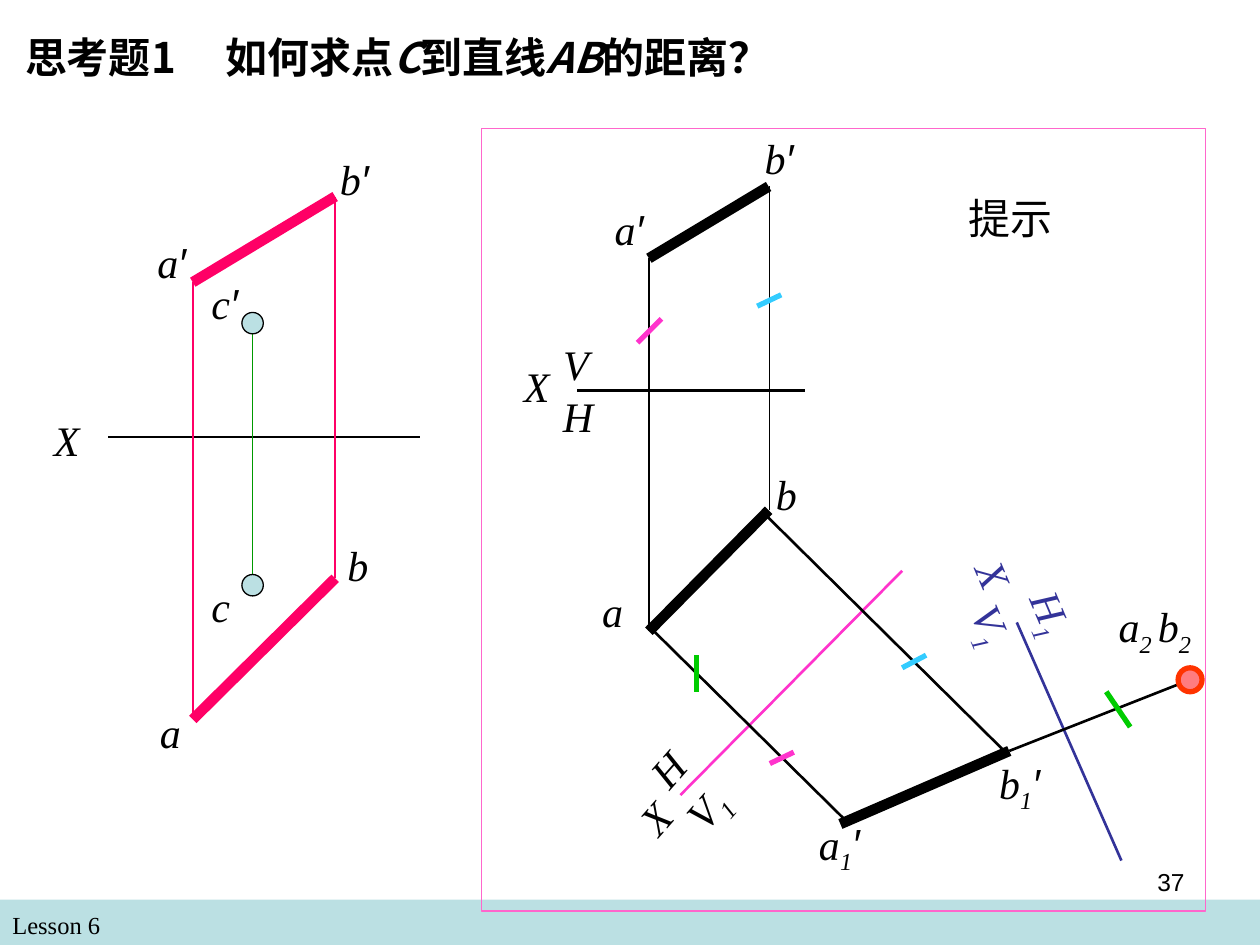
from lxml import etree
from pptx import Presentation
from pptx import util as u
from pptx.dml.color import RGBColor
from pptx.enum import shapes, text
from pptx.oxml.ns import qn

CELL = 0.1  # grid of 100 columns by 75 rows
COLS, ROWS = 100, 75
SERIF, SANS, CJK = "Times New Roman", "Arial", "Noto Sans CJK SC"
COLORS = {
    "ink": "000000", "band": "BBE0E3", "rose": "FF0066", "leaf": "009900",
    "navy": "333399", "magenta": "FF33CC", "sky": "33CCFF", "green": "00CC00",
    "frame": "FF66CC", "coral": "FF7C80", "red": "FF3300",
}


def cells(n):
    return u.Inches(n * CELL)


def rgb(name):
    return RGBColor.from_string(COLORS[name])


def add_line(s, box, start, end, color="ink", width=1.5):
    ends = [cells(v + o) for point in (start, end) for v, o in zip(point, box)]
    line = s.shapes.add_connector(shapes.MSO_CONNECTOR.STRAIGHT, *ends)
    line.line.color.rgb = rgb(color)
    line.line.width = u.Pt(width)
    etree.SubElement(line._element.spPr, qn("a:effectLst"))


def add_solid(s, kind, box, fill=None, line=None, width=0.75):
    sp = s.shapes.add_shape(kind, *map(cells, box))
    sp.shadow.inherit = False
    if fill:
        sp.fill.solid()
        sp.fill.fore_color.rgb = rgb(fill)
    else:
        sp.fill.background()
    if line:
        sp.line.color.rgb = rgb(line)
        sp.line.width = u.Pt(width)
    else:
        sp.line.fill.background()


def add_dot(s, box, center, size, fill, line, width):
    x, y = (v + o - size / 2 for v, o in zip(center, box))
    add_solid(s, shapes.MSO_SHAPE.OVAL, (x, y, size, size), fill, line, width)


def add_box(s, box, wrap=True):
    """Return the first paragraph of a new text box."""
    tf = s.shapes.add_textbox(*map(cells, box)).text_frame
    tf.word_wrap = wrap
    tf.auto_size = text.MSO_AUTO_SIZE.SHAPE_TO_FIT_TEXT
    return tf.paragraphs[0]


def add_run(p, words, font=SERIF, size=24, color="ink", bold=False, italic=False):
    r = p.add_run()
    r.text = words
    r.font.name, r.font.size = font, u.Pt(size)
    r.font.bold, r.font.italic = bold, italic
    r.font.color.rgb = rgb(color)
    return r


def use_cjk(r):
    etree.SubElement(r._r.get_or_add_rPr(), qn("a:ea"), typeface=CJK)


def add_label(s, box, x, y, width, parts, angle=0, color="ink"):
    """Label a point; a part that starts with _ is a subscript."""
    has_sub = any(part.startswith("_") for part in parts)
    sp_box = (box[0] + x, box[1] + y, width, 5.6 if has_sub else 5)
    p = add_box(s, sp_box)
    for part in parts:
        r = add_run(p, part.lstrip("_"), SANS if part == "′" else SERIF,
                    color=color, italic=True)
        if part.startswith("_"):
            r._r.get_or_add_rPr().set("baseline", "-25000")
    s.shapes[-1].rotation = angle


def add_footer(s, box):
    left, top, width, height = box
    add_solid(s, shapes.MSO_SHAPE.RECTANGLE, box, "band")
    add_run(add_box(s, (left, top + 0.3, width / 2, height)), "Lesson 6", size=14)


def add_page_number(s, box):
    p = add_box(s, box)
    p.alignment = text.PP_ALIGN.RIGHT
    add_run(p, "37", SANS, 14)


def add_title(s, box):
    p = add_box(s, box, wrap=False)
    tabs = etree.SubElement(p._p.get_or_add_pPr(), qn("a:tabLst"))
    etree.SubElement(tabs, qn("a:tab"), pos=str(cells(15.9)), algn="l")
    pieces = ("思考题1\t如何求点", "C", "到直线", "AB", "的距离？")
    for i, words in enumerate(pieces):
        use_cjk(add_run(p, words, CJK, bold=True, italic=i % 2 == 1))


def add_problem(s, box):
    """Two views of line AB and point C."""
    a_x, b_x, c_x = 12, 23.3, 16.75
    a_front, a_top, b_front, b_top = 10.7, 45.4, 3.9, 34.2
    c_front, c_top = 13.95, 34.75
    add_line(s, box, (5.3, 23), (30, 23))
    add_line(s, box, (a_x, a_front), (a_x, a_top), "rose", 1)
    add_line(s, box, (b_x, b_top), (b_x, b_front), "rose", 0.75)
    add_line(s, box, (a_x, a_front), (b_x, b_front), "rose", 6)
    add_line(s, box, (a_x, a_top), (b_x, b_top), "rose", 6)
    add_line(s, box, (c_x, c_top), (c_x, c_front), "leaf", 0.75)
    for y in (c_top, c_front):
        add_dot(s, box, (c_x, y), 1.7, "band", "ink", 0.75)
    for label in (
        (8.2, 6.6, 9.4, "a′"), (8.4, 43.9, 10.7, "a"), (0, 20.7, 7.9, "X"),
        (22.7, 0, 9.4, "b′"), (23.3, 30.6, 6.7, "b"),
        (12.5, 33.9, 10.7, "c"), (12.5, 9.8, 9.4, "c′"),
    ):
        add_label(s, box, *label)


def add_hint(s, box):
    """Two changes of plane that turn AB into a point."""
    a_front, b_front = (13.3, 10.3), (22.8, 4.6)
    a_top, b_top = (13.3, 39.9), (22.8, 30.3)
    a_new, b_new, ab_point = (28.5, 55.2), (41.9, 49.4), (56.25, 43.75)

    for start, end, color, width in (
        ((7.6, 20.8), (25.7, 20.8), "ink", 1.5),
        ((15.8, 52.9), (33.4, 35.1), "magenta", 1.5),
        ((42.5, 39.2), (50.8, 58.1), "navy", 1.5),
        (a_front, a_top, "ink", 1.5),
        ((22.9, 30.3), (22.9, 4.6), "ink", 0.75),
        ((13.2, 39.4), (28.9, 54.9), "ink", 1.5),
        ((22.7, 30.8), (41.6, 49.5), "ink", 1.5),
        (b_new, ab_point, "ink", 1.5),
        (a_front, b_front, "ink", 6),
        (a_top, b_top, "ink", 6),
        (b_new, a_new, "ink", 6),
    ):
        add_line(s, box, start, end, color, width)
    add_dot(s, box, ab_point, 1.9, "coral", "red", 3)

    equal_marks = {
        "magenta": (((24.8, 49.5), (22.9, 50.4)), ((14.3, 15.1), (12.4, 17))),
        "sky": (((21.9, 14.1), (23.8, 13.2)), ((33.4, 42.8), (35.3, 41.8))),
        "green": (((17.1, 41.8), (17.1, 44.7)), ((49.6, 44.7), (51.5, 47.5))),
    }
    for color, marks in equal_marks.items():
        for start, end in marks:
            add_line(s, box, start, end, color, 3)

    v1, h1 = ("V", "_1"), ("H", "_1")
    first, second, slight = 311.3, 67.1, 359.4
    for label in (
        (9.6, 5.5, 8, "a′"), (8.6, 35.8, 9.1, "a"),
        (21.5, -0.2, 8, "b′"), (22.4, 26.5, 9.1, "b"),
        (2.4, 17.9, 6.7, "X"), (5.5, 16.2, 4.8, "V"), (5.5, 20.3, 5.7, "H"),
        (11.3, 51.2, 6.7, "X", first), (12.3, 47.8, 5.9, "H", first),
        (14.8, 49.7, 9.3, v1, first),
        (37.9, 34.2, 6.7, "X", second, "navy"),
        (41.7, 36.8, 7.6, h1, second, "navy"),
        (36.7, 38.4, 8.7, v1, second, "navy"),
        (25.8, 54.2, 9.6, ("a", "_1", "′"), slight),
        (40.1, 49.4, 9.5, ("b", "_1", "′"), slight),
        (49.6, 37, 12, ("a", "_2 ", "b", "_2")),
    ):
        add_label(s, box, *label)
    add_solid(s, shapes.MSO_SHAPE.RECTANGLE, box, line="frame")
    use_cjk(add_run(add_box(s, (box[0] + 37.7, box[1] + 4.6, 9.6, 5)), "提示"))


def main():
    prs = Presentation()
    prs.slide_width, prs.slide_height = cells(COLS), cells(ROWS)
    s = prs.slides.add_slide(prs.slide_layouts[6])
    add_footer(s, (0, 71.4, COLS, 3.6))
    add_hint(s, (38.2, 10.2, 57.5, 62.1))
    add_title(s, (1, 2, 65.1, 5))
    add_problem(s, (3.3, 11.7, 31.3, 48.9))
    add_page_number(s, (71.7, 68.3, 23.3, 5.2))
    prs.save("out.pptx")


if __name__ == "__main__":
    main()
